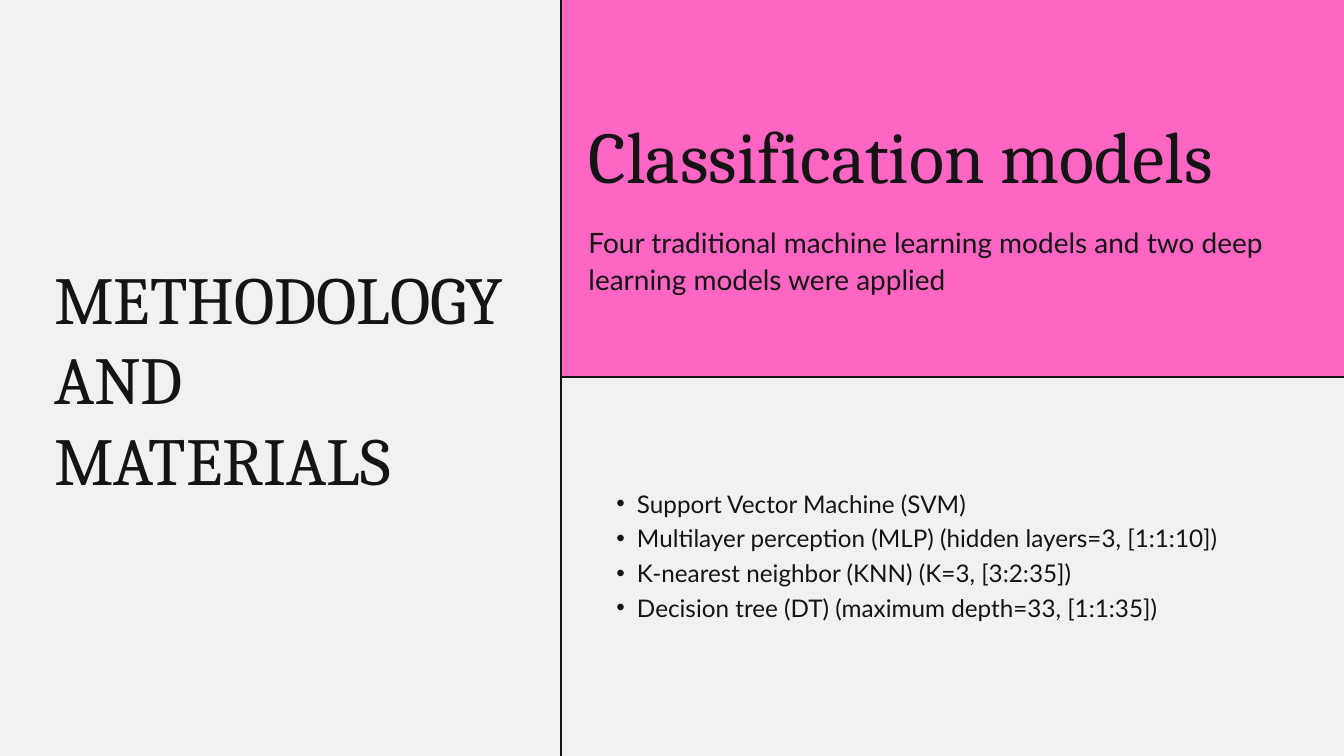
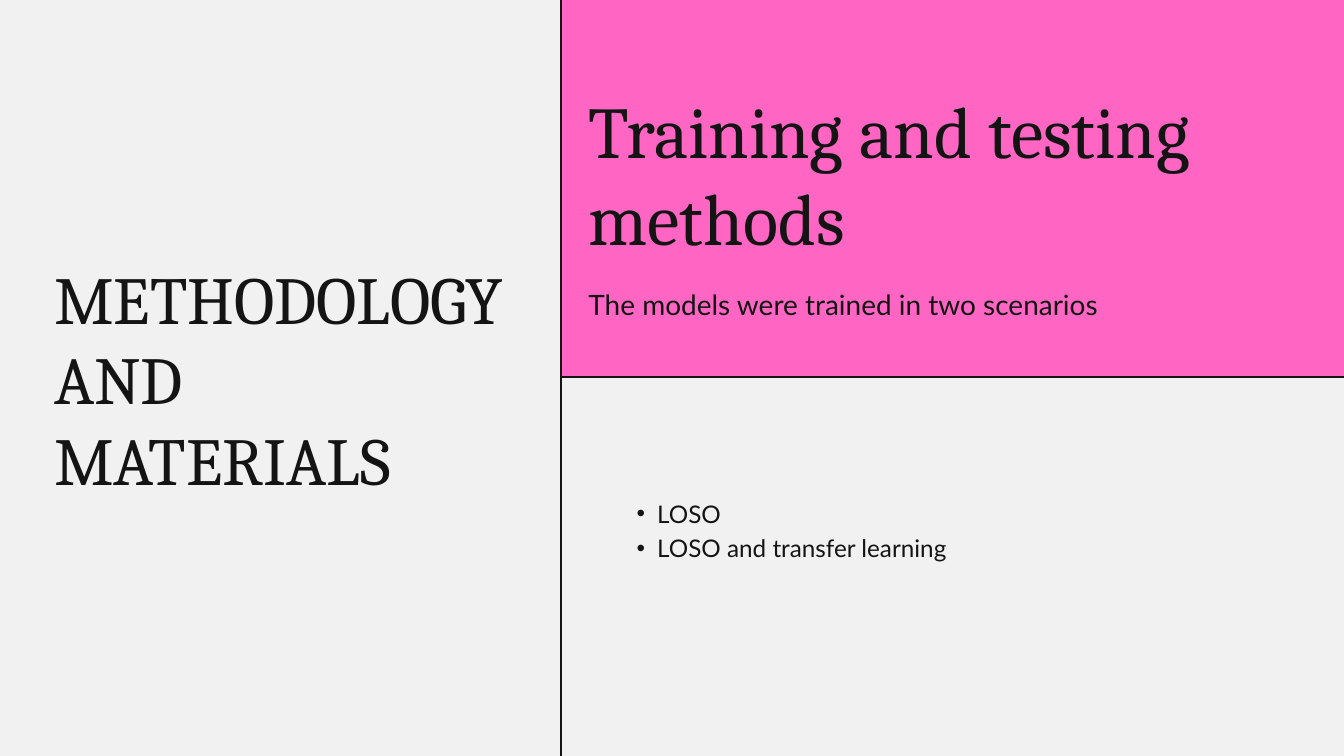
from lxml.etree import SubElement
from pptx import Presentation
from pptx.dml.color import RGBColor
from pptx.enum.shapes import MSO_CONNECTOR as Link, MSO_SHAPE as Shape
from pptx.oxml.ns import qn
from pptx.util import Pt

PAPER = RGBColor(0xF1, 0xF1, 0xF1)
PINK = RGBColor(0xFF, 0x66, 0xC4)
INK = RGBColor(0x14, 0x14, 0x14)
SERIF, SANS = "Cambria", "Lato"

WIDE, HIGH = 1440, 810
SPLIT_X, SPLIT_Y = 600.5, 404
HEAD_STEP, SUB_STEP, LIST_STEP = 93.6, 39, 37.2
HEAD_GAP = 26.4


def add_text(slide, box, lines, font, size, step):
    """Place one paragraph per line, with exact spacing, and return the frame."""
    frame = slide.shapes.add_textbox(*map(Pt, box)).text_frame
    frame.word_wrap = True
    frame.margin_left = frame.margin_right = 0
    frame.margin_top = frame.margin_bottom = 0
    frame.text = "\n".join(lines)
    for para in frame.paragraphs:
        para.line_spacing = Pt(step)
        for run in para.runs:
            run.font.name = font
            run.font.size = Pt(size)
            run.font.color.rgb = INK
    return frame


def add_rule(slide, x1, y1, x2, y2):
    rule = slide.shapes.add_connector(Link.STRAIGHT, *map(Pt, (x1, y1, x2, y2)))
    rule.line.color.rgb = INK
    rule.line.width = Pt(1.5)
    SubElement(rule._element.spPr, qn("a:effectLst"))


def add_side(slide, box):
    """Section name, centred vertically in the left column."""
    left, top, width, height = box
    tall = 3 * 86.4
    add_text(slide, (left + 58, top + (height - tall) / 2, width - 87, tall),
             ["METHODOLOGY AND MATERIALS"], SERIF, 72, 86.4)


def add_band(slide, box):
    band = slide.shapes.add_shape(Shape.RECTANGLE, *map(Pt, box))
    band.shadow.inherit = False
    band.fill.solid()
    band.fill.fore_color.rgb = PINK
    band.line.fill.background()


def add_head(slide, box, title, rows, sub, sub_rows):
    """Title and subtitle, stacked around a line just below the band's middle."""
    left, top, width, height = box
    tall, low = rows * HEAD_STEP, sub_rows * SUB_STEP
    y = top + height / 2 + 16 - (tall + HEAD_GAP + low) / 2
    x, wide = left + 30, width - 67
    add_text(slide, (x, y, wide, tall), [title], SERIF, 78, HEAD_STEP)
    add_text(slide, (x, y + tall + HEAD_GAP, wide, low), [sub],
             SANS, 30, SUB_STEP)


def add_list(slide, box, items, dx, dy):
    left, top, _, _ = box
    frame = add_text(slide, (left + dx, top + dy, 755, len(items) * LIST_STEP),
                     items, SANS, 26, LIST_STEP)
    for para in frame.paragraphs:
        para.level = 1
        props = para._p.get_or_add_pPr()
        props.set("marL", str(Pt(44)))
        props.set("indent", str(Pt(-22)))
        SubElement(props, qn("a:buFont"), typeface="Arial")
        SubElement(props, qn("a:buChar"), char="•")


def add_page(deck, head, items, dx, dy):
    slide = deck.slides.add_slide(deck.slide_layouts[6])
    slide.background.fill.solid()
    slide.background.fill.fore_color.rgb = PAPER
    band = (SPLIT_X, 0, WIDE - SPLIT_X, SPLIT_Y)
    body = (SPLIT_X, SPLIT_Y, WIDE - SPLIT_X, HIGH - SPLIT_Y)
    add_band(slide, band)
    add_rule(slide, SPLIT_X + 0.5, HIGH, SPLIT_X + 0.5, 0)
    add_rule(slide, SPLIT_X, SPLIT_Y, WIDE, SPLIT_Y)
    add_head(slide, band, *head)
    add_list(slide, body, items, dx, dy)
    add_side(slide, (0, 0, SPLIT_X, HIGH))


def main():
    deck = Presentation()
    deck.slide_width, deck.slide_height = Pt(WIDE), Pt(HIGH)
    add_page(deck,
             ("Classification models", 1,
              "Four traditional machine learning models and two deep "
              "learning models were applied", 2),
             ["Support Vector Machine (SVM)",
              "Multilayer perception (MLP) (hidden layers=3, [1:1:10])",
              "K-nearest neighbor (KNN) (K=3, [3:2:35])",
              "Decision tree (DT) (maximum depth=33, [1:1:35])"],
             38, 113.7)
    add_page(deck,
             ("Training and testing methods", 2,
              "The models were trained in two scenarios", 1),
             ["LOSO", "LOSO and transfer learning"],
             59.7, 124.5)
    deck.save("out.pptx")


if __name__ == "__main__":
    main()
